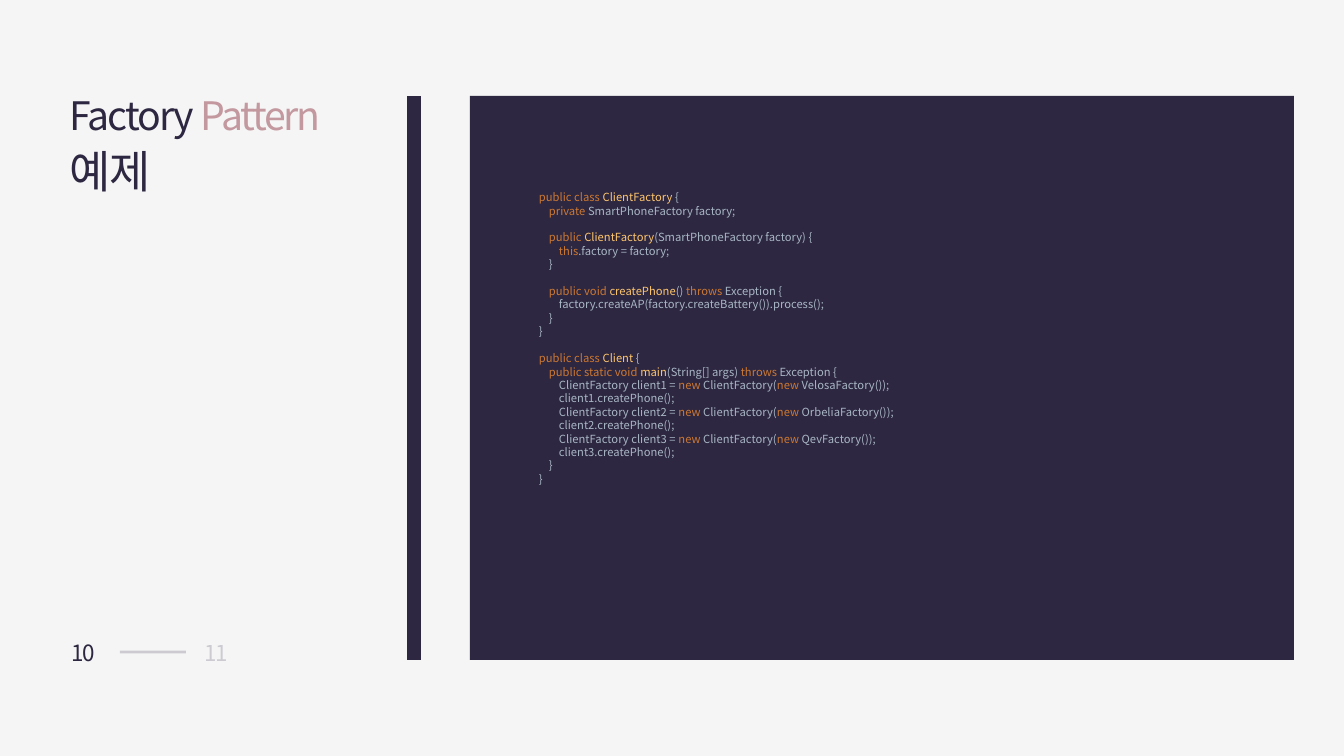
from lxml import etree
from pptx import Presentation, util as u
from pptx.dml.color import RGBColor
from pptx.enum import shapes, text
from pptx.oxml.ns import qn

FONT = "Noto Sans CJK KR"
PAPER, INK, ROSE = "F5F5F5", "2D2741", "C3989F"
PLAIN, KEYWORD, DECLARED = "A9B7C6", "CC7832", "FFC66D"
INDENT = 10
CODE_PT, BLANK_LINE_PT = 8, 9.6

# Each line's parts are, in turn, plain text, keyword and declared name.
# Each block is a list of (indent level, line).
CODE = [
    [(0, "|public class |ClientFactory| {"),
     (1, "|private ||SmartPhoneFactory factory;")],
    [(1, "|public |ClientFactory|(SmartPhoneFactory factory) {"),
     (2, "|this||.factory = factory;"),
     (1, "}")],
    [(1, "|public void |createPhone|() |throws ||Exception {"),
     (2, "factory.createAP(factory.createBattery()).process();"),
     (1, "}"),
     (0, "}")],
    [(0, "|public class |Client| {"),
     (1, "|public static void |main|(String[] args) |throws ||Exception {"),
     (2, "ClientFactory client1 = |new ||ClientFactory(|new ||VelosaFactory());"),
     (2, "client1.createPhone();"),
     (2, "ClientFactory client2 = |new ||ClientFactory(|new ||OrbeliaFactory());"),
     (2, "client2.createPhone();"),
     (2, "ClientFactory client3 = |new ||ClientFactory(|new ||QevFactory());"),
     (2, "client3.createPhone();"),
     (1, "}"),
     (0, "}")],
]


def px(n):
    return u.Emu(round(n * 914400 / 100.8))


def paint(fill, colour, alpha=None):
    """Make a fill solid, with alpha as a percentage."""
    fill.solid()
    fill.fore_color.rgb = RGBColor.from_string(colour)
    if alpha is not None:
        node = fill._xPr.find(qn("a:solidFill"))[0]
        etree.SubElement(node, qn("a:alpha")).set("val", str(alpha * 1000))


def add_line(s, x1, y1, x2, y2, width, alpha=None):
    line = s.shapes.add_connector(
        shapes.MSO_CONNECTOR.STRAIGHT, px(x1), px(y1), px(x2), px(y2))
    line.line.width = u.Pt(width)
    paint(line.line.fill, INK, alpha)
    etree.SubElement(line._element.spPr, qn("a:effectLst"))


def add_text_frame(s, x, y, w, h):
    tf = s.shapes.add_textbox(px(x), px(y), px(w), px(h)).text_frame
    tf.word_wrap = True
    return tf


def add_run(p, words, size, colour, spacing=None, alpha=None):
    r = p.add_run()
    r.text = words
    r.font.size = u.Pt(size)
    paint(r.font.fill, colour, alpha)
    r.font.name = FONT
    rPr = r.font._element
    latin = rPr.find(qn("a:latin"))
    ea = etree.Element(qn("a:ea"))
    ea.set("typeface", FONT)
    latin.addnext(ea)
    if spacing is not None:
        rPr.set("spc", str(round(spacing * 100)))


def add_title(s, x, y, w, h):
    tf = add_text_frame(s, x, y, w, h)
    first, second = tf.paragraphs[0], tf.add_paragraph()
    first.line_spacing = second.line_spacing = 1.1
    add_run(first, "Factory", 28, INK, -1.5)
    add_run(first, " Pattern", 28, ROSE, -1.5)
    add_run(second, "예제", 32, INK, -1.5)


def add_pager(s, x, y, w, h):
    number_w = 50
    for left, number, alpha in [(x, "10", None), (x + w - number_w, "11", 20)]:
        p = add_text_frame(s, left, y, number_w, h).paragraphs[0]
        p.line_spacing = 1.1
        add_run(p, number, 16, INK, -1.5, alpha)
    add_line(s, x + 58, y + h // 2, x + 124, y + h // 2, 2, 20)


def add_code_panel(s, x, y, w, h):
    panel = s.shapes.add_shape(
        shapes.MSO_SHAPE.RECTANGLE, px(x), px(y), px(w), px(h))
    panel.shadow.inherit = False
    paint(panel.fill, INK)
    panel.line.fill.background()

    tf = add_text_frame(s, x + 69, y + 93, w - 138, 298)
    tf.margin_left = tf.margin_right = tf.margin_top = tf.margin_bottom = 0
    tf.vertical_anchor = text.MSO_ANCHOR.MIDDLE
    p = None
    for block in CODE:
        for i, (level, line) in enumerate(block):
            starts_later_block = p is not None and i == 0
            p = tf.paragraphs[0] if p is None else tf.add_paragraph()
            if starts_later_block:
                p.space_before = u.Pt(BLANK_LINE_PT)
            p._p.get_or_add_pPr().set("marL", str(px(level * INDENT)))
            for k, part in enumerate(line.split("|")):
                if part:
                    colour = (PLAIN, KEYWORD, DECLARED)[k % 3]
                    add_run(p, part, CODE_PT, colour)


def main():
    prs = Presentation()
    prs.slide_width, prs.slide_height = px(1344), px(756)
    s = prs.slides.add_slide(prs.slide_layouts[6])
    paint(s.background.fill, PAPER)
    add_code_panel(s, 470, 96, 824, 564)
    add_line(s, 414, 660, 414, 96, 9.5)
    add_title(s, 60, 82, 340, 121)
    add_pager(s, 62, 632, 183, 40)
    prs.save("out.pptx")


if __name__ == "__main__":
    main()
